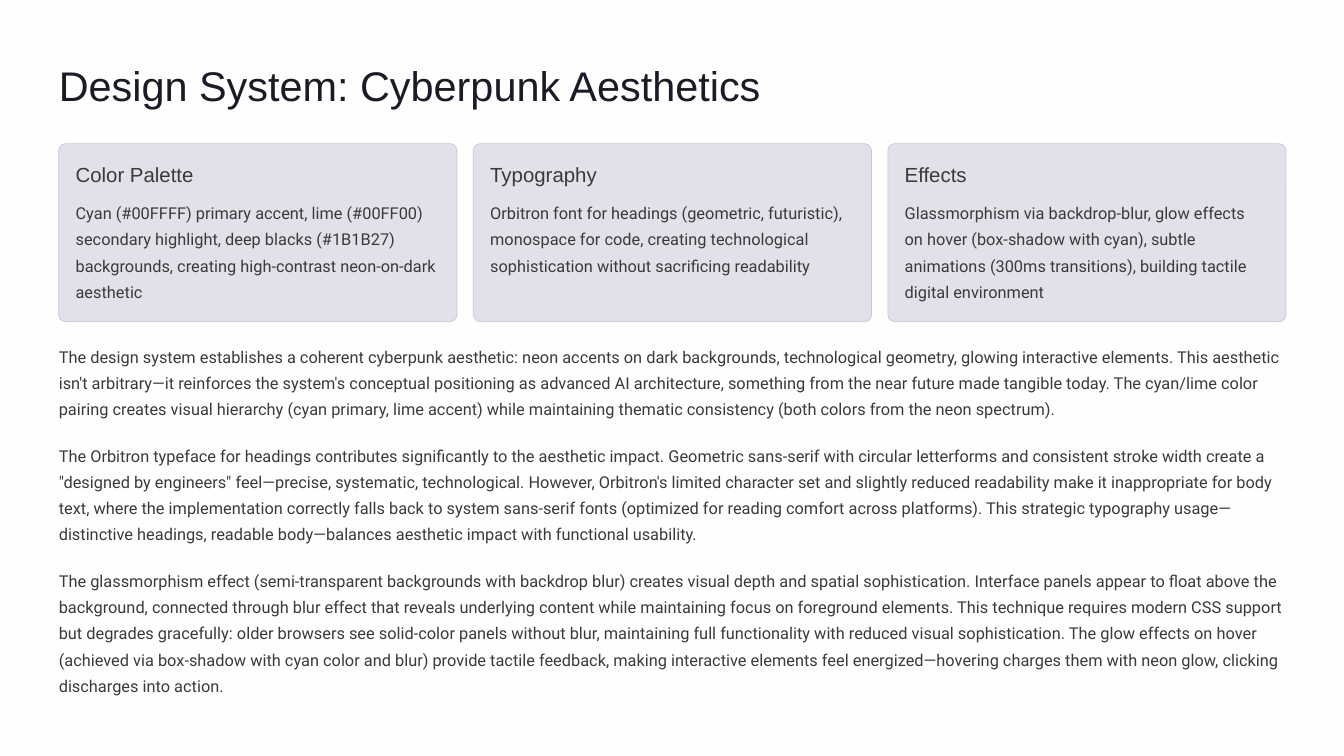
from pptx import Presentation
from pptx.dml.color import RGBColor
from pptx.enum.shapes import MSO_SHAPE
from pptx.enum.text import MSO_ANCHOR, MSO_AUTO_SIZE, PP_ALIGN
from pptx.util import Inches, Pt

ROUNDED = MSO_SHAPE.ROUNDED_RECTANGLE
TOP = MSO_ANCHOR.TOP
NO_FIT = MSO_AUTO_SIZE.NONE
LEFT = PP_ALIGN.LEFT

PAPER = RGBColor(0xFE, 0xFE, 0xFE)
INK = RGBColor(0x1B, 0x1B, 0x27)
GRAY = RGBColor(0x3C, 0x39, 0x39)
CARD = RGBColor(0xE1, 0xE1, 0xEA)
BORDER = RGBColor(0xC7, 0xC7, 0xD0)

HEADING_FONT = "Arial"
BODY_FONT = "Roboto"
MARGIN = 0.7
CARD_STEP = 4.935
BODY_LEADING = 22.5
PARAGRAPH_GAP = 0.24

CARDS = [
    ("Color Palette", 4,
     "Cyan (#00FFFF) primary accent, lime (#00FF00) secondary highlight, "
     "deep blacks (#1B1B27) backgrounds, creating high-contrast "
     "neon-on-dark aesthetic"),
    ("Typography", 3,
     "Orbitron font for headings (geometric, futuristic), monospace for "
     "code, creating technological sophistication without sacrificing "
     "readability"),
    ("Effects", 4,
     "Glassmorphism via backdrop-blur, glow effects on hover (box-shadow "
     "with cyan), subtle animations (300ms transitions), building tactile "
     "digital environment"),
]

PARAGRAPHS = [
    (3,
     "The design system establishes a coherent cyberpunk aesthetic: neon "
     "accents on dark backgrounds, technological geometry, glowing "
     "interactive elements. This aesthetic isn't arbitrary—it reinforces "
     "the system's conceptual positioning as advanced AI architecture, "
     "something from the near future made tangible today. The cyan/lime "
     "color pairing creates visual hierarchy (cyan primary, lime accent) "
     "while maintaining thematic consistency (both colors from the neon "
     "spectrum)."),
    (4,
     "The Orbitron typeface for headings contributes significantly to the "
     "aesthetic impact. Geometric sans-serif with circular letterforms and "
     "consistent stroke width create a \"designed by engineers\" "
     "feel—precise, systematic, technological. However, Orbitron's limited "
     "character set and slightly reduced readability make it inappropriate "
     "for body text, where the implementation correctly falls back to "
     "system sans-serif fonts (optimized for reading comfort across "
     "platforms). This strategic typography usage—distinctive headings, "
     "readable body—balances aesthetic impact with functional usability."),
    (5,
     "The glassmorphism effect (semi-transparent backgrounds with backdrop "
     "blur) creates visual depth and spatial sophistication. Interface "
     "panels appear to float above the background, connected through blur "
     "effect that reveals underlying content while maintaining focus on "
     "foreground elements. This technique requires modern CSS support but "
     "degrades gracefully: older browsers see solid-color panels without "
     "blur, maintaining full functionality with reduced visual "
     "sophistication. The glow effects on hover (achieved via box-shadow "
     "with cyan color and blur) provide tactile feedback, making "
     "interactive elements feel energized—hovering charges them with neon "
     "glow, clicking discharges into action."),
]


def write(sp, text, font=BODY_FONT, size=14, color=GRAY, leading=BODY_LEADING):
    tf = sp.text_frame
    tf.margin_left = tf.margin_top = tf.margin_right = tf.margin_bottom = 0
    tf.auto_size = NO_FIT
    tf.word_wrap = True
    tf.vertical_anchor = TOP
    p = tf.paragraphs[0]
    p.alignment = LEFT
    p.line_spacing = Pt(leading)
    p.space_before = Pt(0)
    r = p.add_run()
    r.text = text
    r.font.name = font
    r.font.size = Pt(size)
    r.font.color.rgb = color


class Deck:
    def __init__(self, width, height):
        self.prs = Presentation()
        self.prs.slide_width = Inches(width)
        self.prs.slide_height = Inches(height)
        self.s = self.prs.slides.add_slide(self.prs.slide_layouts[5])
        fill = self.s.background.fill
        fill.solid()
        fill.fore_color.rgb = PAPER

    def title(self, text, x, y, w, h):
        sp = self.s.shapes.title
        sp.left, sp.top, sp.width, sp.height = map(Inches, (x, y, w, h))
        write(sp, text, font=HEADING_FONT, size=35.5, color=INK, leading=44.5)

    def text(self, text, x, y, w, h, **style):
        sp = self.s.shapes.add_textbox(*map(Inches, (x, y, w, h)))
        write(sp, text, **style)

    def body(self, text, x, y, w, lines):
        h = lines * BODY_LEADING / 72
        self.text(text, x, y, w, h)
        return y + h

    def card(self, heading, text, lines, x, y):
        sp = self.s.shapes.add_shape(ROUNDED, *map(Inches, (x, y, 4.74, 2.12)))
        sp.adjustments[0] = 0.039
        sp.shadow.inherit = False
        sp.fill.solid()
        sp.fill.fore_color.rgb = CARD
        sp.line.color.rgb = BORDER
        sp.line.width = Pt(0.6)
        self.text(heading, x + 0.2, y + 0.2, 2.49, 0.31,
                  font=HEADING_FONT, size=17.5, leading=22)
        self.body(text, x + 0.2, y + 0.63, 4.32, lines)


def main():
    deck = Deck(16, 9)
    deck.title("Design System: Cyberpunk Aesthetics", MARGIN, 0.69, 9.06, 0.62)
    for i, (heading, lines, text) in enumerate(CARDS):
        deck.card(heading, text, lines, MARGIN + i * CARD_STEP, 1.71)
    y = 4.05
    for lines, text in PARAGRAPHS:
        y = deck.body(text, MARGIN, y, 14.61, lines) + PARAGRAPH_GAP
    deck.prs.save("out.pptx")


if __name__ == "__main__":
    main()
